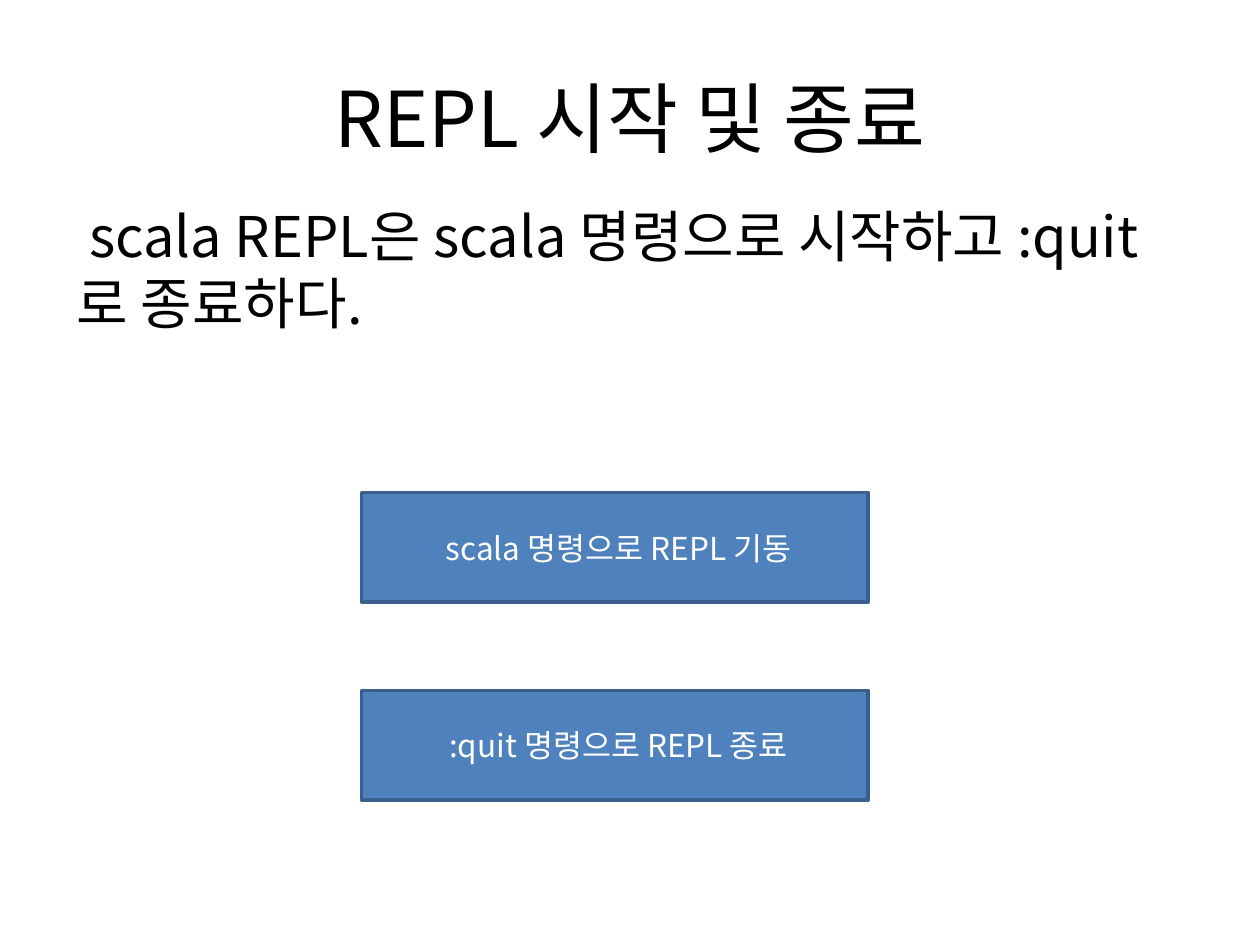
from pptx import Presentation
from pptx.dml.color import RGBColor
from pptx.enum.shapes import MSO_SHAPE as Shape
from pptx.enum.text import MSO_ANCHOR as Anchor, PP_ALIGN as Align
from pptx.oxml.ns import qn
from pptx.util import Inches, Pt
from lxml.etree import SubElement

FONT = "Noto Sans CJK KR"
BLACK = RGBColor(0x00, 0x00, 0x00)
WHITE = RGBColor(0xFF, 0xFF, 0xFF)
BLUE = RGBColor(0x4F, 0x81, 0xBD)
DARK_BLUE = RGBColor(0x3A, 0x5F, 0x8C)
STEPS = [" scala 명령으로 REPL 기동", " :quit 명령으로 REPL 종료"]


def write_text(tf, text, size, color, align, anchor):
    tf.word_wrap = True
    tf.vertical_anchor = anchor
    p = tf.paragraphs[0]
    p.alignment = align
    r = p.add_run()
    r.text = text
    r.font.size = Pt(size)
    r.font.color.rgb = color
    r.font.name = FONT
    SubElement(r.font._element, qn("a:ea"), typeface=FONT)


def set_title(s, text):
    sp = s.shapes.title
    sp.left, sp.top = Inches(0.5), Inches(0.3)
    sp.width, sp.height = Inches(9), Inches(1.25)
    write_text(sp.text_frame, text, 44, BLACK, Align.CENTER, Anchor.MIDDLE)


def add_body(s, text):
    sp = s.shapes.add_textbox(Inches(0.51), Inches(1.55), Inches(8.83), Inches(1.45))
    write_text(sp.text_frame, text, 32, BLACK, Align.LEFT, Anchor.TOP)


def add_step(s, text, top):
    sp = s.shapes.add_shape(
        Shape.RECTANGLE, Inches(2.87), Inches(top), Inches(4.02), Inches(0.87))
    sp.shadow.inherit = False
    sp.fill.solid()
    sp.fill.fore_color.rgb = BLUE
    sp.line.color.rgb = DARK_BLUE
    sp.line.width = Pt(2)
    write_text(sp.text_frame, text, 18, WHITE, Align.CENTER, Anchor.MIDDLE)


def main():
    prs = Presentation()
    prs.slide_width, prs.slide_height = Inches(10), Inches(7.5)
    s = prs.slides.add_slide(prs.slide_layouts[5])
    set_title(s, "REPL 시작 및 종료")
    add_body(s, " scala REPL은 scala 명령으로 시작하고 :quit로 종료하다.")
    for i, text in enumerate(STEPS):
        add_step(s, text, 3.91 + 1.57 * i)
    prs.save("out.pptx")


if __name__ == "__main__":
    main()
